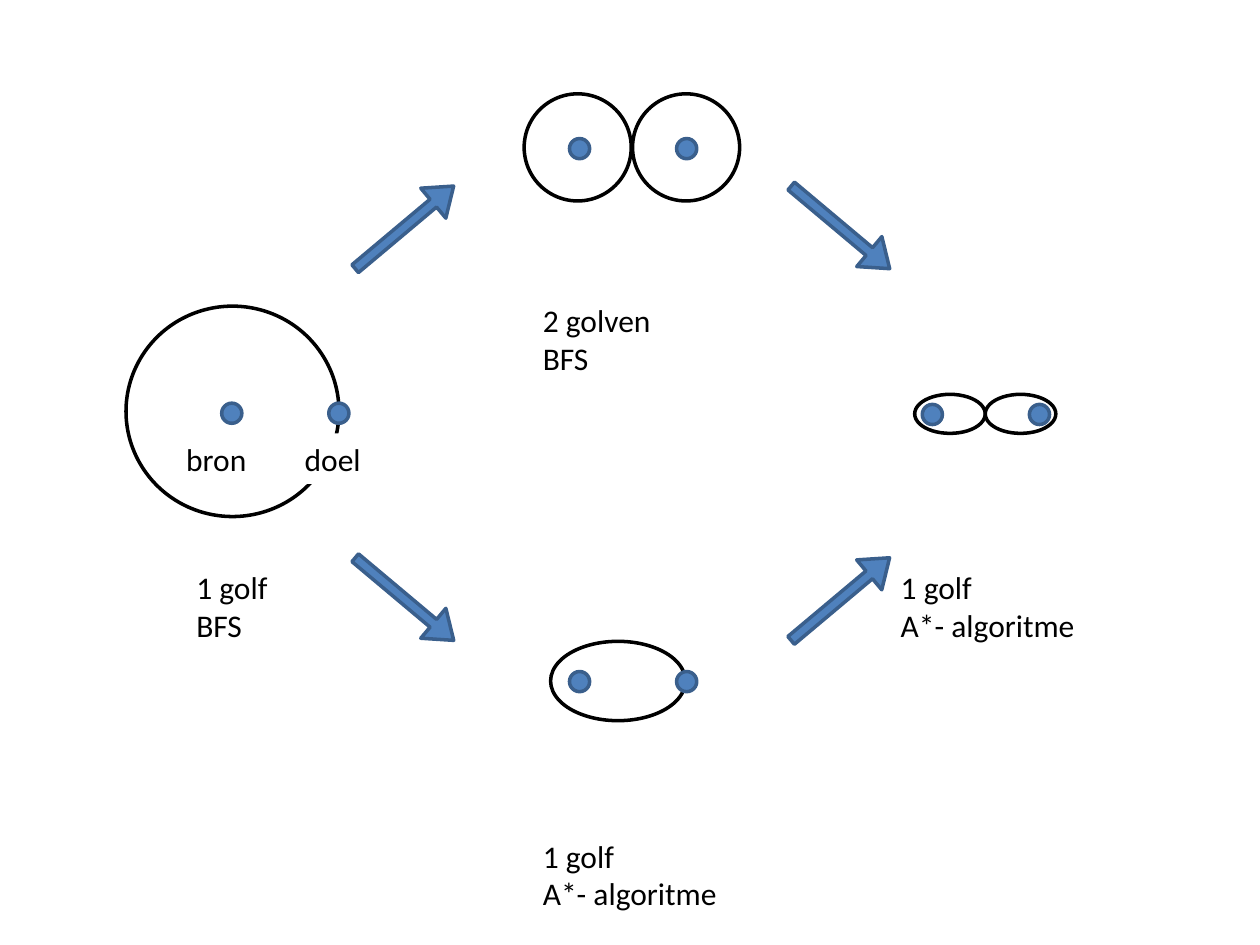
from pptx import Presentation
from pptx.dml.color import RGBColor
from pptx.enum.shapes import MSO_SHAPE as Shape
from pptx.enum.text import MSO_AUTO_SIZE as Fit, MSO_ANCHOR as Anchor, PP_ALIGN as Align
from pptx.util import Inches, Pt

COLORS = {"ink": "000000", "paper": "FFFFFF", "blue": "4F81BD", "edge": "3A5F8C"}
COLS, ROWS = 100, 75
WIDE, HIGH = Inches(10), Inches(7.5)
DOT, GAP = 1.6, 8.5  # size of a node, distance from source to goal

# centre of the source node, then each wave: centre x, centre y, width, height
SCENES = [
    ((18.4, 32.8), [(18.45, 32.65, 16.9, 16.7)]),
    ((46, 11.8), [(45.85, 11.7, 8.5, 8.5), (54.45, 11.7, 8.5, 8.5)]),
    ((46, 54.1), [(49.05, 54.05, 10.7, 6.3)]),
    ((74, 32.9), [(75.4, 32.85, 5.6, 3.1), (81, 32.85, 5.6, 3.1)]),
]
ARROWS = [(32.1, 18.05, 320), (32.1, 47.55, 40),
          (66.7, 47.55, 320), (66.7, 18.05, 40)]
NOTES = [
    (42.1, 23.4, "2 golven\nBFS"),
    (42.1, 65.9, "1 golf\nA*- algoritme"),
    (14.6, 44.6, "1 golf\nBFS"),
    (70.5, 44.6, "1 golf\nA*- algoritme"),
]
TAGS = [(13.8, "bron"), (23.2, "doel")]


def color(name):
    return RGBColor.from_string(COLORS[name])


def place(x, y, w, h):
    """Turn grid columns and rows into slide lengths."""
    return (round(WIDE * x / COLS), round(HIGH * y / ROWS),
            round(WIDE * w / COLS), round(HIGH * h / ROWS))


def add_mark(shapes, kind, x, y, w, h, fill=None, line="ink"):
    """Add an outlined shape around its centre."""
    mark = shapes.add_shape(kind, *place(x - w / 2, y - h / 2, w, h))
    mark.shadow.inherit = False
    if fill:
        mark.fill.solid()
        mark.fill.fore_color.rgb = color(fill)
    else:
        mark.fill.background()
    mark.line.color.rgb = color(line)
    mark.line.width = Pt(2)
    return mark


def add_scene(shapes, node, waves):
    for wave in waves:
        add_mark(shapes, Shape.OVAL, *wave)
    x, y = node
    for step in (0, GAP):
        add_mark(shapes, Shape.OVAL, x + step, y, DOT, DOT, "blue", "edge")


def add_arrow(shapes, x, y, turn):
    arrow = add_mark(shapes, Shape.RIGHT_ARROW, x, y, 10.2, 3.1, "blue", "edge")
    arrow.adjustments[0] = 0.26
    arrow.adjustments[1] = 0.68
    arrow.rotation = turn


def set_text(box, text):
    frame = box.text_frame
    frame.text = text
    frame.word_wrap = True
    frame.auto_size = Fit.SHAPE_TO_FIT_TEXT
    frame.vertical_anchor = Anchor.TOP
    for para in frame.paragraphs:
        para.alignment = Align.LEFT
        para.font.name = "Calibri"
        para.font.size = Pt(18)
        para.font.color.rgb = color("ink")


def add_note(shapes, x, y, text):
    set_text(shapes.add_textbox(*place(x, y, 18.9, 7.1)), text)


def add_tag(shapes, x, text):
    """Add a node name on a plain patch that hides the wave."""
    tag = shapes.add_shape(Shape.RECTANGLE, *place(x, 34.4, 8.7, 4))
    tag.shadow.inherit = False
    tag.fill.solid()
    tag.fill.fore_color.rgb = color("paper")
    tag.line.fill.background()
    set_text(tag, text)


def main():
    deck = Presentation()
    deck.slide_width, deck.slide_height = WIDE, HIGH
    shapes = deck.slides.add_slide(deck.slide_layouts[6]).shapes
    first, *others = SCENES
    add_scene(shapes, *first)
    for scene in others:
        add_scene(shapes.add_group_shape().shapes, *scene)
    for arrow in ARROWS:
        add_arrow(shapes, *arrow)
    for note in NOTES:
        add_note(shapes, *note)
    for tag in TAGS:
        add_tag(shapes, *tag)
    deck.save("out.pptx")


if __name__ == "__main__":
    main()
